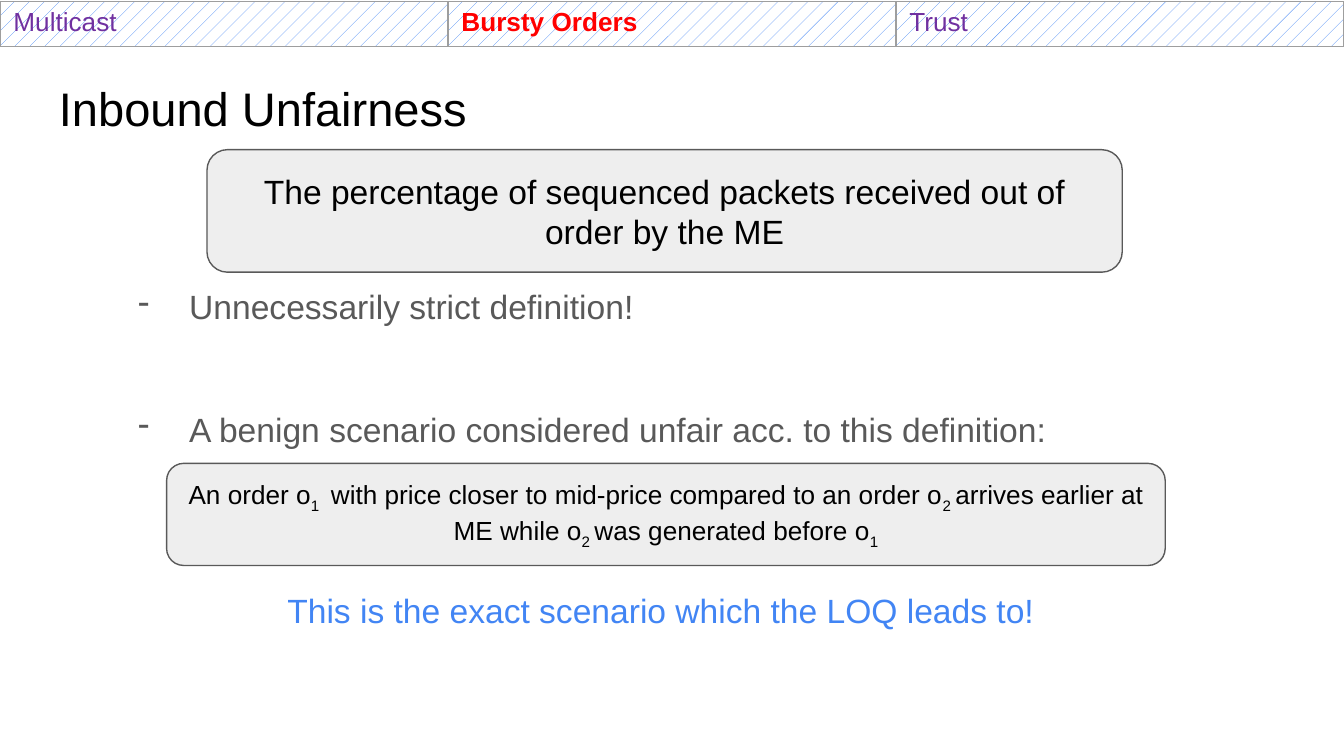
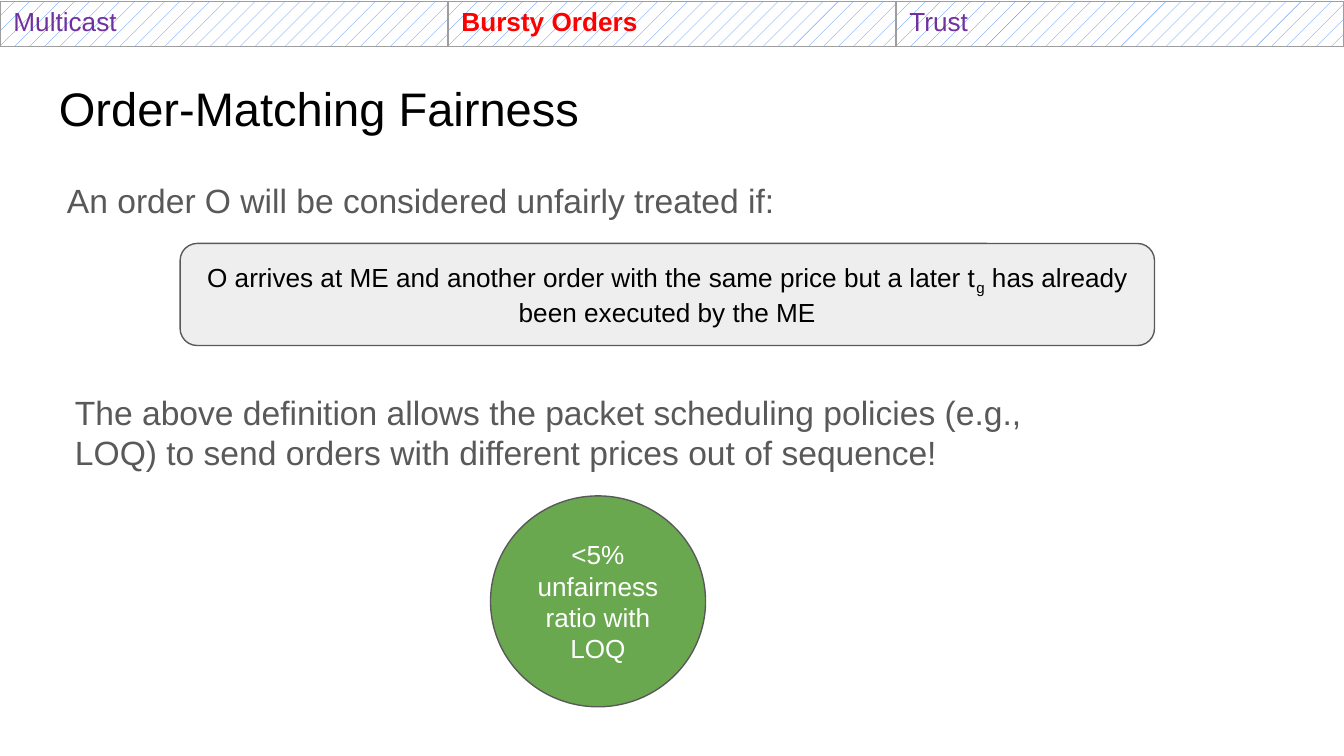
import pptx
import pptx.dml.color
import pptx.enum.dml
import pptx.enum.shapes
import pptx.enum.text
import pptx.oxml
import pptx.oxml.ns
import pptx.util
from lxml import etree

WIDTH = pptx.util.Inches(10)
HEIGHT = pptx.util.Inches(5.625)
FONT = "Arial"
COLORS = {
    "black": "000000",
    "white": "FFFFFF",
    "gray": "595959",
    "panel": "EEEEEE",
    "border": "9E9E9E",
    "blue": "4285F4",
    "purple": "7030A0",
    "red": "FF0000",
    "green": "6AA84F",
}
TOPICS = ["Multicast", "Bursty Orders", "Trust"]
CURRENT_TOPIC = "Bursty Orders"
SHAPES = pptx.enum.shapes.MSO_SHAPE


def rgb(name):
    return pptx.dml.color.RGBColor.from_string(COLORS[name])


def place(left, top, width, height):
    """Turn percentages of the slide's width and height into lengths."""
    return (
        int(WIDTH * left / 100),
        int(HEIGHT * top / 100),
        int(WIDTH * width / 100),
        int(HEIGHT * height / 100),
    )


def write(text_frame, text, size, color, bold=False):
    """Fill a frame with one paragraph; pieces between bars are subscripts."""
    text_frame.word_wrap = True
    paragraph = text_frame.paragraphs[0]
    for index, piece in enumerate(text.split("|")):
        if not piece:
            continue
        run = paragraph.add_run()
        run.text = piece
        run.font.name = FONT
        run.font.size = pptx.util.Pt(size)
        run.font.bold = bold
        run.font.color.rgb = rgb(color)
        if index % 2:
            run._r.get_or_add_rPr().set("baseline", "-25000")
    return paragraph


def set_margins(text_frame):
    for side in ("left", "top", "right", "bottom"):
        setattr(text_frame, f"margin_{side}", pptx.util.Inches(0.1))


def add_text(slide, area, text, size=18, color="gray"):
    text_frame = slide.shapes.add_textbox(*place(*area)).text_frame
    set_margins(text_frame)
    return write(text_frame, text, size, color)


def add_dash_item(slide, area, text):
    properties = add_text(slide, area, text)._p.get_or_add_pPr()
    properties.set("marL", str(pptx.util.Inches(0.5)))
    properties.set("indent", str(pptx.util.Inches(-0.38)))
    bullet_color = etree.SubElement(properties, pptx.oxml.ns.qn("a:buClr"))
    etree.SubElement(bullet_color, pptx.oxml.ns.qn("a:srgbClr"), val=COLORS["gray"])
    etree.SubElement(properties, pptx.oxml.ns.qn("a:buChar"), char="-")


def add_callout(slide, area, text, size=14, kind=SHAPES.ROUNDED_RECTANGLE,
                fill="panel", color="black"):
    shape = slide.shapes.add_shape(kind, *place(*area))
    shape.shadow.inherit = False
    shape.fill.solid()
    shape.fill.fore_color.rgb = rgb(fill)
    shape.line.color.rgb = rgb("gray")
    shape.line.width = pptx.util.Pt(0.75)
    set_margins(shape.text_frame)
    shape.text_frame.vertical_anchor = pptx.enum.text.MSO_ANCHOR.MIDDLE
    paragraph = write(shape.text_frame, text, size, color)
    paragraph.alignment = pptx.enum.text.PP_ALIGN.CENTER


def set_cell_borders(cell):
    properties = cell._tc.get_or_add_tcPr()
    for index, side in enumerate(("lnL", "lnR", "lnT", "lnB")):
        border = pptx.oxml.parse_xml(
            f'<a:{side} {pptx.oxml.ns.nsdecls("a")} w="{pptx.util.Pt(0.75)}">'
            f'<a:solidFill><a:srgbClr val="{COLORS["border"]}"/></a:solidFill>'
            f"</a:{side}>"
        )
        properties.insert(index, border)


def add_topic_band(slide):
    frame = slide.shapes.add_table(1, len(TOPICS), *place(0, 0.18, 100, 5.87))
    table = frame.table
    table.first_row = False
    table.horz_banding = False
    for cell, topic in zip(table.rows[0].cells, TOPICS):
        current = topic == CURRENT_TOPIC
        write(cell.text_frame, topic, 14, "red" if current else "purple", current)
        cell.fill.patterned()
        cell.fill.pattern = pptx.enum.dml.MSO_PATTERN.PERCENT_10
        cell.fill.fore_color.rgb = rgb("blue")
        cell.fill.back_color.rgb = rgb("white")
        set_cell_borders(cell)


def add_topic_slide(presentation, title):
    slide = presentation.slides.add_slide(presentation.slide_layouts[6])
    add_text(slide, (3.4, 8.7, 93.2, 11.2), title, 25.2, "black")
    add_topic_band(slide)
    return slide


def build_inbound_unfairness(presentation):
    slide = add_topic_slide(presentation, "Inbound Unfairness")
    add_callout(slide, (15.4, 19.8, 68.1, 16.2),
                "The percentage of sequenced packets received out of order by the ME", 18)
    add_dash_item(slide, (8.1, 36.1, 45.6, 8.9), "Unnecessarily strict definition!")
    add_dash_item(slide, (8.1, 52.3, 76.7, 8.9),
                  "A benign scenario considered unfair acc. to this definition:")
    add_callout(slide, (12.4, 61.3, 74.3, 13.5),
                "An order o|1 | with price closer to mid-price compared to an order o"
                "|2 |arrives earlier at ME while o|2 |was generated before o|1")
    add_text(slide, (20.4, 76.3, 58.3, 8.9),
             "This is the exact scenario which the LOQ leads to!", color="blue")


def build_order_matching_fairness(presentation):
    slide = add_topic_slide(presentation, "Order-Matching Fairness")
    add_text(slide, (4, 22, 60.3, 8.9),
             "An order O will be considered unfairly treated if:")
    add_callout(slide, (13.4, 32.2, 72.5, 13.5),
                "O arrives at ME and another order with the same price but a later t"
                "|g| has already been executed by the ME")
    add_text(slide, (4.6, 50, 77.6, 14.4),
             "The above definition allows the packet scheduling policies (e.g., LOQ) "
             "to send orders with different prices out of sequence!")
    add_callout(slide, (36.5, 65.6, 16, 27.9), "<5% unfairness ratio with LOQ",
                kind=SHAPES.OVAL, fill="green", color="white")


def main():
    presentation = pptx.Presentation()
    presentation.slide_width = WIDTH
    presentation.slide_height = HEIGHT
    build_inbound_unfairness(presentation)
    build_order_matching_fairness(presentation)
    presentation.save("out.pptx")


if __name__ == "__main__":
    main()
